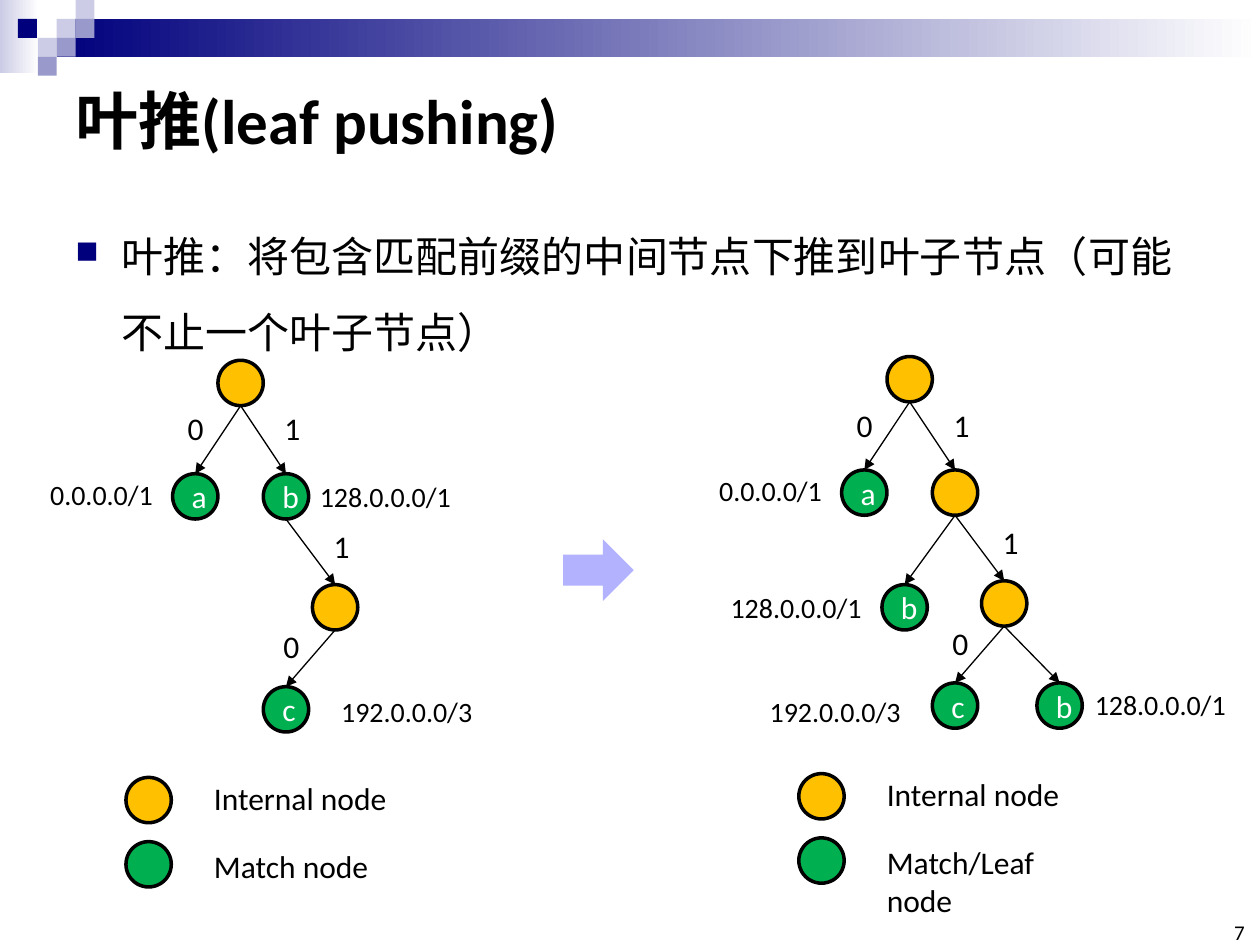
from dataclasses import dataclass

import pptx
import pptx.dml.color
import pptx.enum.shapes
import pptx.enum.text
import pptx.oxml
import pptx.oxml.ns
import pptx.util
from lxml import etree

Inches = pptx.util.Inches
Pt = pptx.util.Pt
RGB = pptx.dml.color.RGBColor.from_string
SHAPE = pptx.enum.shapes.MSO_SHAPE
ALIGN = pptx.enum.text.PP_ALIGN
ANCHOR = pptx.enum.text.MSO_ANCHOR


@dataclass(frozen=True)
class Theme:
    font: str = "Calibri"
    ink: str = "000000"
    white: str = "FFFFFF"
    navy: str = "00007D"
    mid: str = "9999CC"
    pale: str = "CCCCE6"
    arrow: str = "B2B2FF"
    internal: str = "FFC000"
    match: str = "00B050"
    title: int = 36
    body: int = 24
    label: int = 18
    prefix: int = 16
    number: int = 12


@dataclass(frozen=True)
class Node:
    """A node centred at x, y from the root; one with a letter is a match node."""
    x: float
    y: float
    letter: str = ""
    parent: int | None = None


@dataclass(frozen=True)
class Label:
    """Text whose box has its top left corner at x, y from the root."""
    x: float
    y: float
    text: str
    size: int


@dataclass(frozen=True)
class Trie:
    x: float
    y: float
    nodes: list[Node]
    labels: list[Label]
    match_name: str
    legend_x: float


T = Theme()
DIAMETER = 0.36
TILE = 0.15
TILES = [(3, 1, T.pale), (4, 0, T.pale), (4, 1, T.mid), (2, 2, T.pale),
         (0.95, 1, T.navy), (3, 2, T.mid), (2, 3, T.mid)]

BITS = [Label(-0.52, 0.16, "0", T.label), Label(0.25, 0.16, "1", T.label),
        Label(0.64, 1.09, "1", T.label), Label(0.24, 1.89, "0", T.label),
        Label(-1.61, 0.7, "0.0.0.0/1", T.prefix)]


def trie_nodes(right_letter: str) -> list[Node]:
    return [Node(0, 0), Node(-0.36, 0.9, "a", 0), Node(0.36, 0.9, right_letter, 0),
            Node(0.75, 1.78, "", 2), Node(0.36, 2.59, "c", 3)]


TRIES = [
    Trie(1.91, 3.04, trie_nodes("b"),
         BITS + [Label(0.53, 0.72, "128.0.0.0/1", T.prefix),
                 Label(0.7, 2.42, "192.0.0.0/3", T.prefix)],
         "Match node", 1.18),
    Trie(7.22, 3.01,
         trie_nodes("") + [Node(-0.04, 1.81, "b", 2), Node(1.19, 2.59, "b", 3)],
         BITS + [Label(-1.52, 1.63, "128.0.0.0/1", T.prefix),
                 Label(-1.21, 2.45, "192.0.0.0/3", T.prefix),
                 Label(1.37, 2.4, "128.0.0.0/1", T.prefix)],
         "Match/Leaf node", 6.52),
]


def set_attrs(obj, values: dict) -> None:
    for name, value in values.items():
        setattr(obj, name, value)


def write(tf, text: str, size: int, color: str = T.ink, bold: bool = False,
          align=ALIGN.LEFT):
    p = tf.paragraphs[0]
    p.alignment = align
    r = p.add_run()
    r.text = text
    set_attrs(r.font, {"name": T.font, "size": Pt(size), "bold": bold})
    r.font.color.rgb = RGB(color)
    return p


def add_text(s, x: float, y: float, w: float, h: float, text: str, size: int,
             wrap: bool = False, align=ALIGN.LEFT, **frame):
    tf = s.shapes.add_textbox(Inches(x), Inches(y), Inches(w), Inches(h)).text_frame
    set_attrs(tf, {"word_wrap": wrap, **frame})
    return write(tf, text, size, align=align)


def add_filled(s, kind, x: float, y: float, w: float, h: float, color: str,
               fade: bool = False):
    """Add a borderless shape, fading to white at the right if asked."""
    sp = s.shapes.add_shape(kind, Inches(x), Inches(y), Inches(w), Inches(h))
    sp.shadow.inherit = False
    sp.line.fill.background()
    if fade:
        sp.fill.gradient()
        sp.fill.gradient_angle = 0
        for stop, place, c in zip(sp.fill.gradient_stops, (0, 1), (color, T.white)):
            stop.position = place
            stop.color.rgb = RGB(c)
    else:
        sp.fill.solid()
        sp.fill.fore_color.rgb = RGB(color)
    return sp


def add_node(s, x: float, y: float, color: str, letter: str = "") -> None:
    sp = add_filled(s, SHAPE.OVAL, x - DIAMETER / 2, y - DIAMETER / 2,
                    DIAMETER, DIAMETER, color)
    sp.line.color.rgb = RGB(T.ink)
    sp.line.width = Pt(2)
    if letter:
        write(sp.text_frame, letter, T.label, T.white, align=ALIGN.CENTER)


def add_arrow(s, x1: float, y1: float, x2: float, y2: float) -> None:
    c = s.shapes.add_connector(pptx.enum.shapes.MSO_CONNECTOR.STRAIGHT,
                               Inches(x1), Inches(y1), Inches(x2), Inches(y2))
    c.line.color.rgb = RGB(T.ink)
    c.line.width = Pt(0.75)
    etree.SubElement(c.line._get_or_add_ln(), pptx.oxml.ns.qn("a:tailEnd"), type="triangle")
    etree.SubElement(c._element.spPr, pptx.oxml.ns.qn("a:effectLst"))


def add_trie(s, trie: Trie) -> None:
    for node in trie.nodes:
        add_node(s, trie.x + node.x, trie.y + node.y,
                 T.match if node.letter else T.internal, node.letter)
        if node.parent is not None:
            top = trie.nodes[node.parent]
            add_arrow(s, trie.x + top.x, trie.y + top.y + DIAMETER / 2,
                      trie.x + node.x, trie.y + node.y - DIAMETER / 2)
    for lb in trie.labels:
        w = 0.33 if len(lb.text) == 1 else 0.11 * len(lb.text) + 0.04
        add_text(s, trie.x + lb.x, trie.y + lb.y, w, 0.4, lb.text, lb.size)
    legend = [("Internal node", T.internal, 3.31, 3.09),
              (trie.match_name, T.match, 3.82, 3.63)]
    for name, color, node_y, text_y in legend:
        add_node(s, trie.legend_x, trie.y + node_y, color)
        add_text(s, trie.legend_x + 0.42, trie.y + text_y, 1.6, 0.4, name, T.label)


def add_header(s) -> None:
    add_filled(s, SHAPE.RECTANGLE, 0, 0, 0.31, 0.58, T.pale, fade=True)
    add_filled(s, SHAPE.RECTANGLE, 0.45, 0.15, 9.55, 0.3, T.navy, fade=True)
    for col, row, color in TILES:
        add_filled(s, SHAPE.RECTANGLE, col * TILE, row * TILE, TILE, TILE, color)


def add_bullet(p) -> None:
    pPr = p._p.get_or_add_pPr()
    set_indent = {"marL": Inches(0.37), "indent": -Inches(0.37)}
    for name, value in set_indent.items():
        pPr.set(name, str(value))
    color = etree.SubElement(pPr, pptx.oxml.ns.qn("a:buClr"))
    etree.SubElement(color, pptx.oxml.ns.qn("a:srgbClr"), val=T.navy)
    etree.SubElement(pPr, pptx.oxml.ns.qn("a:buSzPct"), val="75000")
    etree.SubElement(pPr, pptx.oxml.ns.qn("a:buChar"), char="■")


def main() -> None:
    prs = pptx.Presentation()
    set_attrs(prs, {"slide_width": Inches(10), "slide_height": Inches(7.5)})
    s = prs.slides.add_slide(prs.slide_layouts[5])
    add_header(s)
    title = s.shapes.title
    set_attrs(title, {"left": Inches(0.5), "top": Inches(0.5),
                      "width": Inches(9), "height": Inches(0.89)})
    title.text_frame.vertical_anchor = ANCHOR.MIDDLE
    write(title.text_frame, "叶推(leaf pushing)", T.title, bold=True)
    for trie in TRIES:
        add_trie(s, trie)
    add_filled(s, SHAPE.RIGHT_ARROW, 4.47, 4.28, 0.56, 0.49, T.arrow)
    p = add_text(s, 0.5, 1.58, 9, 1.19,
                 "叶推：将包含匹配前缀的中间节点下推到叶子节点（可能不止一个叶子节点）",
                 T.body, wrap=True)
    p.line_spacing = 1.5
    add_bullet(p)
    add_text(s, 9.65, 7.33, 0.23, 0.17, "7", T.number, wrap=True, align=ALIGN.RIGHT,
             vertical_anchor=ANCHOR.BOTTOM, margin_left=0, margin_right=0,
             margin_top=0, margin_bottom=0)
    prs.save("out.pptx")


if __name__ == "__main__":
    main()
